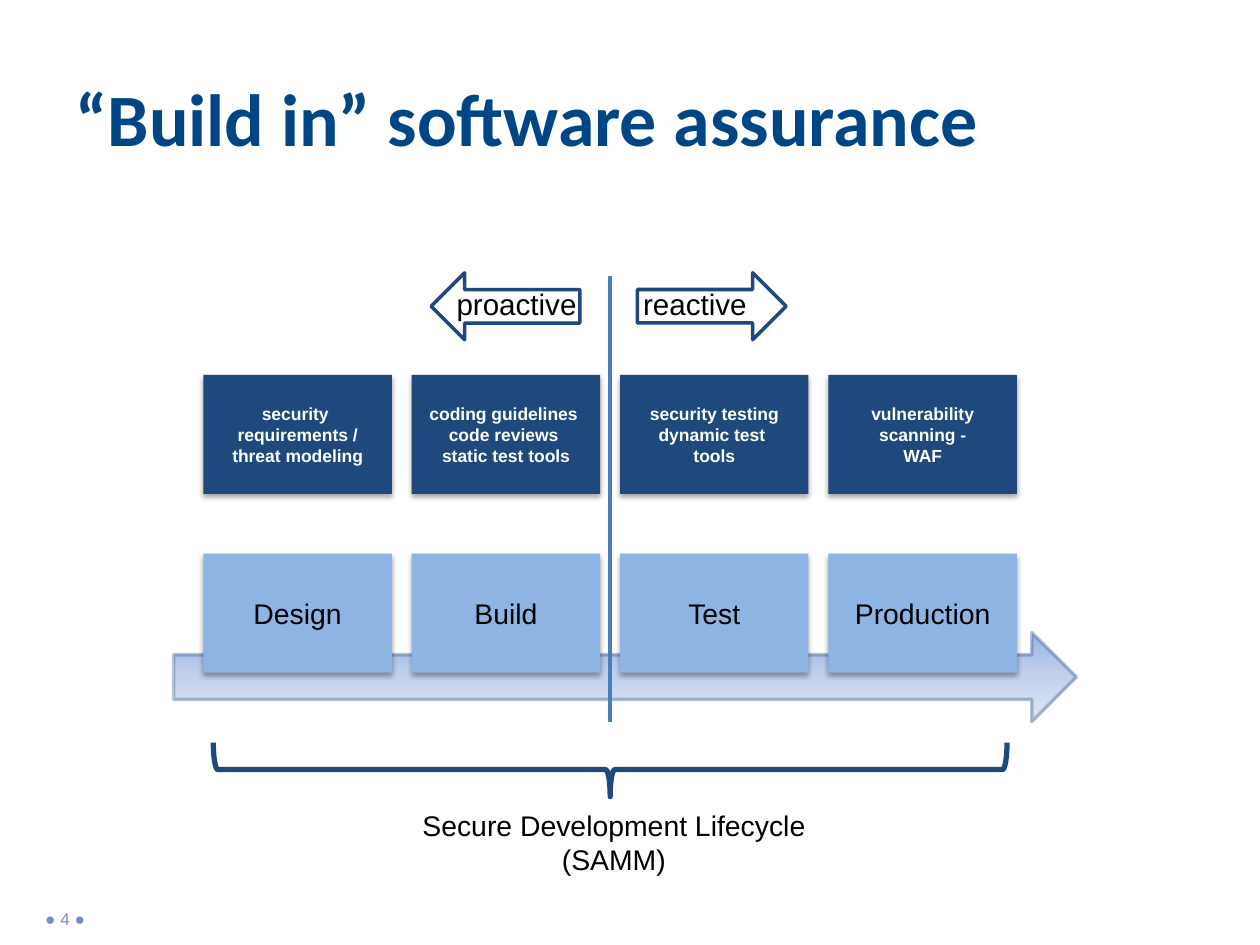
from lxml import etree
from pptx import Presentation
from pptx import util as u
from pptx.dml.color import RGBColor
from pptx.enum import shapes, text
from pptx.oxml.ns import qn

COLORS = {
    "title": "004685", "footer": "788CC8", "navy": "1F497D", "sky": "8EB4E3",
    "divider": "4A7EBB", "arrow_line": "3A5F8C", "black": "000000", "white": "FFFFFF",
}
ARROW_STOPS = ((0, "9AB5E4"), (50, "C2D1ED"), (100, "E1E8F5"))
PHASES = (
    ("Design", "security \nrequirements /\nthreat modeling"),
    ("Build", "coding guidelines \vcode reviews \vstatic test tools"),
    ("Test", "security testing\vdynamic test \ntools"),
    ("Production", "vulnerability\nscanning -\nWAF"),
)
SHAPE = shapes.MSO_SHAPE


def color(name):
    """Return the palette colour with the given name."""
    return RGBColor.from_string(COLORS[name])


def box_of(left, top, width, height):
    """Turn four centimetre values into lengths."""
    return [u.Cm(value) for value in (left, top, width, height)]


def write(shape, content, size, ink="black", font="Arial", bold=False,
          align=text.PP_ALIGN.CENTER, anchor=text.MSO_ANCHOR.MIDDLE, wrap=True, before=0):
    """Fill a shape with text in one format."""
    frame = shape.text_frame
    frame.text = content
    frame.word_wrap = wrap
    frame.vertical_anchor = anchor
    for paragraph in frame.paragraphs:
        paragraph.alignment = align
        paragraph.space_before = u.Pt(before)
        for run in paragraph.runs:
            run.font.name = font
            run.font.size = u.Pt(size)
            run.font.bold = bold
            run.font.color.rgb = color(ink)


def add_label(slide, box, content, size, **form):
    """Add a text box anchored at its top."""
    label = slide.shapes.add_textbox(*box_of(*box))
    write(label, content, size, anchor=text.MSO_ANCHOR.TOP, **form)


def add_outline(slide, kind, box, line, width, rotation=0):
    """Add an unfilled preset shape with a coloured line."""
    shape = slide.shapes.add_shape(kind, *box_of(*box))
    shape.shadow.inherit = False
    shape.fill.background()
    shape.line.color.rgb = color(line)
    shape.line.width = u.Pt(width)
    shape.rotation = rotation
    return shape


def add_color_xml(parent, value, alpha):
    """Append an RGB colour with an opacity in percent."""
    element = etree.SubElement(parent, qn("a:srgbClr"), val=value)
    etree.SubElement(element, qn("a:alpha"), val=str(alpha * 1000))


def add_card(slide, box, fill, content, size, **form):
    """Add a filled rectangle with a soft shadow below it."""
    card = slide.shapes.add_shape(SHAPE.RECTANGLE, *box_of(*box))
    card.fill.solid()
    card.fill.fore_color.rgb = color(fill)
    card.line.fill.background()
    card.shadow.inherit = False
    effects = card.element.spPr.find(qn("a:effectLst"))
    shadow = etree.SubElement(
        effects, qn("a:outerShdw"), blurRad=str(u.Pt(3.1)), dist=str(u.Pt(1.8)),
        dir="5400000", rotWithShape="0")
    add_color_xml(shadow, COLORS["black"], 35)
    write(card, content, size, **form)


def add_title(slide, box):
    """Move and format the title placeholder."""
    title = slide.shapes.title
    title.left, title.top, title.width, title.height = box_of(*box)
    write(title, "“Build in” software assurance", 42.2, ink="title", font="Calibri",
          bold=True, align=text.PP_ALIGN.LEFT)


def add_process_arrow(slide, box):
    """Add the wide gradient arrow behind the phases."""
    arrow = add_outline(slide, SHAPE.RIGHT_ARROW, box, "arrow_line", 2)
    arrow.fill.gradient()
    arrow.fill.gradient_angle = 270
    properties = arrow.element.spPr
    stops = properties.find(".//" + qn("a:gsLst"))
    for stop in list(stops):
        stops.remove(stop)
    for position, value in ARROW_STOPS:
        stop = etree.SubElement(stops, qn("a:gs"), pos=str(position * 1000))
        add_color_xml(stop, value, 100)
    line_color = properties.find(qn("a:ln")).find(".//" + qn("a:srgbClr"))
    etree.SubElement(line_color, qn("a:alpha"), val="37000")


def add_phases(slide, left, top, pitch=4.2, width=3.8, height=2.4, drop=3.6):
    """Add a column per phase: its activities above its name."""
    for index, (phase, activities) in enumerate(PHASES):
        column = left + index * pitch
        add_card(slide, (column, top + drop, width, height), "sky", phase, 16.2)
        add_card(slide, (column, top, width, height), "navy", activities, 10,
                 ink="white", bold=True)


def add_divider(slide, x, top, height):
    """Add the vertical line between proactive and reactive."""
    line = slide.shapes.add_connector(
        shapes.MSO_CONNECTOR.STRAIGHT, u.Cm(x), u.Cm(top), u.Cm(x), u.Cm(top + height))
    line.line.color.rgb = color("divider")
    line.line.width = u.Pt(2.25)
    etree.SubElement(line.element.spPr, qn("a:effectLst"))


def add_direction(slide, left, top, content, label_shift, label_width, rotation=0):
    """Add a small outlined arrow with its label."""
    add_outline(slide, SHAPE.RIGHT_ARROW, (left, top, 3, 1.35), "navy", 2, rotation)
    add_label(slide, (left + label_shift, top + 0.15, label_width, 0.99),
              content, 16.9, wrap=False)


def add_lifecycle(slide, left, top, width, depth):
    """Add the brace that opens upwards, and its caption."""
    middle = left + width / 2
    brace_box = (middle - depth / 2, top + depth / 2 - width / 2, depth, width)
    add_outline(slide, SHAPE.RIGHT_BRACE, brace_box, "navy", 3, rotation=90)
    add_label(slide, (middle - 4.08, top + depth + 0.1, 8.31, 1.65),
              "Secure Development Lifecycle\n(SAMM)", 16.2, wrap=False)


def main():
    """Build the slide and save it."""
    presentation = Presentation()
    presentation.slide_width, presentation.slide_height = u.Cm(25.4), u.Cm(19.05)
    slide = presentation.slides.add_slide(presentation.slide_layouts[5])
    add_title(slide, (1.27, 0.76, 22.86, 3.18))
    add_label(slide, (0.66, 18.19, 11.02, 0.69), "● 4 ●", 9.8, ink="footer",
              align=text.PP_ALIGN.LEFT, before=2)
    add_process_arrow(slide, (3.5, 12.75, 18.2, 1.8))
    add_phases(slide, 4.1, 7.56)
    add_divider(slide, 12.3, 5.56, 9)
    add_direction(slide, 12.85, 5.5, "reactive", -0.15, 2.62)
    add_direction(slide, 8.69, 5.5, "proactive", 0.25, 2.95, rotation=180)
    add_lifecycle(slide, 4.3, 14.97, 16, 1.09)
    presentation.save("out.pptx")


if __name__ == "__main__":
    main()
